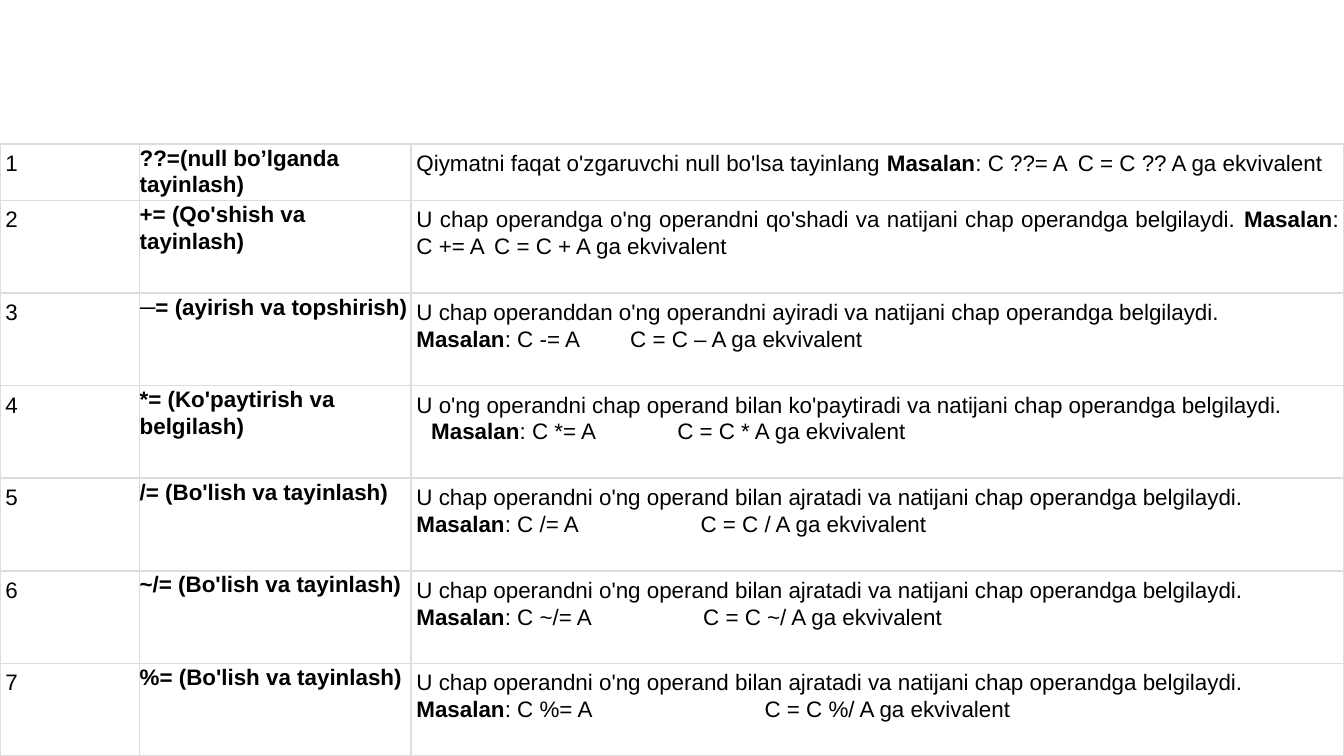
import pptx
import pptx.dml.color
import pptx.enum.text
import pptx.oxml
import pptx.oxml.ns
import pptx.util
from pptx.util import Cm

BLACK = pptx.dml.color.RGBColor(0x00, 0x00, 0x00)
BORDER = pptx.dml.color.RGBColor(0xDD, 0xDD, 0xDD)
ALIGN = pptx.enum.text.PP_ALIGN

COLUMN_WIDTHS = (2.64, 5.13, 17.63)
FIRST_ROW, OTHER_ROW = 1.07, 1.75
PADDING = 0.1
DIVIDE = "U chap operandni o'ng operand bilan ajratadi va natijani chap operandga belgilaydi.\v"

# Name, explanation, example, equivalent, alignment, tab stops in centimetres
OPERATORS = (
    ("??=(null bo’lganda tayinlash)", "Qiymatni faqat o'zgaruvchi null bo'lsa tayinlang ",
     "C ??= A", "C = C ?? A", ALIGN.JUSTIFY, (12.5,)),
    ("+= (Qo'shish va tayinlash)",
     "U chap operandga o'ng operandni qo'shadi va natijani chap operandga belgilaydi. ",
     "C += A", "C = C + A", ALIGN.JUSTIFY, (1.47,)),
    ("─= (ayirish va topshirish)",
     "U chap operanddan o'ng operandni ayiradi va natijani chap operandga belgilaydi.\v",
     "C -= A", "C = C – A", ALIGN.LEFT, (4.04,)),
    ("*= (Ko'paytirish va belgilash)",
     "U o'ng operandni chap operand bilan ko'paytiradi va natijani chap operandga belgilaydi.\v\t",
     "C *= A", "C = C * A", ALIGN.LEFT, (0.28, 4.93)),
    ("/= (Bo'lish va tayinlash)", DIVIDE, "C /= A", "C = C / A", ALIGN.LEFT, (5.37,)),
    ("~/= (Bo'lish va tayinlash)", DIVIDE, "C ~/= A", "C = C ~/ A", ALIGN.LEFT, (5.42,)),
    ("%= (Bo'lish va tayinlash)", DIVIDE, "C %= A", "C = C %/ A", ALIGN.LEFT, (6.58,)),
)


def style_cell(cell, padding):
    """Give a cell its margins, thin borders and no fill."""
    cell.margin_left = cell.margin_right = Cm(padding)
    cell.margin_top = cell.margin_bottom = Cm(padding)
    properties = cell._tc.get_or_add_tcPr()
    for side in ("lnL", "lnR", "lnT", "lnB"):
        properties.append(pptx.oxml.parse_xml(
            f'<a:{side} {pptx.oxml.ns.nsdecls("a")} w="12700"><a:solidFill>'
            f'<a:srgbClr val="{BORDER}"/></a:solidFill></a:{side}>'))
    cell.fill.background()


def style_paragraph(para, before=0, after=8, bold=False):
    """Set the spacing and font of a paragraph."""
    para.line_spacing = 1.07
    para.space_before = pptx.util.Pt(before)
    para.space_after = pptx.util.Pt(after)
    para.font.name = "Arial"
    para.font.size = pptx.util.Pt(12)
    para.font.bold = bold
    para.font.color.rgb = BLACK


def add_tab_stops(para, stops):
    """Add left tab stops, given in centimetres, to a paragraph."""
    marks = "".join(f'<a:tab pos="{Cm(stop)}" algn="l"/>' for stop in stops)
    tab_list = pptx.oxml.parse_xml(f'<a:tabLst {pptx.oxml.ns.nsdecls("a")}>{marks}</a:tabLst>')
    para.font._element.addprevious(tab_list)


def fill_explanation(para, explanation, example, equivalent, alignment, stops):
    """Write what an operator does, with its example and equivalent."""
    style_paragraph(para, before=6, after=7.2)
    para.alignment = alignment
    add_tab_stops(para, stops)
    text, *rest = explanation.split("\v")
    para.add_run().text = text
    for line in rest:
        para.add_line_break()
        if line:
            para.add_run().text = line
    label = para.add_run()
    label.text = "Masalan"
    label.font.bold = True
    para.add_run().text = f": {example}\t{equivalent} ga ekvivalent"


def add_operator_table(page, left, top, width, height):
    """Place the table of assignment operators in the given box."""
    frame = page.shapes.add_table(len(OPERATORS), len(COLUMN_WIDTHS),
                                  Cm(left), Cm(top), Cm(width), Cm(height))
    table = frame.table
    table.first_row = table.horz_banding = False
    for column, share in zip(table.columns, COLUMN_WIDTHS):
        column.width = Cm(width * share / sum(COLUMN_WIDTHS))
    total = FIRST_ROW + OTHER_ROW * (len(OPERATORS) - 1)
    for index, (name, *details) in enumerate(OPERATORS):
        row = table.rows[index]
        row.height = Cm(height * (OTHER_ROW if index else FIRST_ROW) / total)
        for cell, padding in zip(row.cells, (PADDING, 0, PADDING)):
            style_cell(cell, padding)
        number, title, explanation = (cell.text_frame.paragraphs[0] for cell in row.cells)
        number.text = str(index + 1)
        style_paragraph(number)
        title.text = name
        style_paragraph(title, bold=True)
        fill_explanation(explanation, *details)


def main():
    """Build the deck and save it."""
    deck = pptx.Presentation()
    deck.slide_width, deck.slide_height = Cm(25.4), Cm(14.29)
    page = deck.slides.add_slide(deck.slide_layouts[6])
    add_operator_table(page, 0, 2.72, 25.4, 11.57)
    deck.save("out.pptx")


if __name__ == "__main__":
    main()
